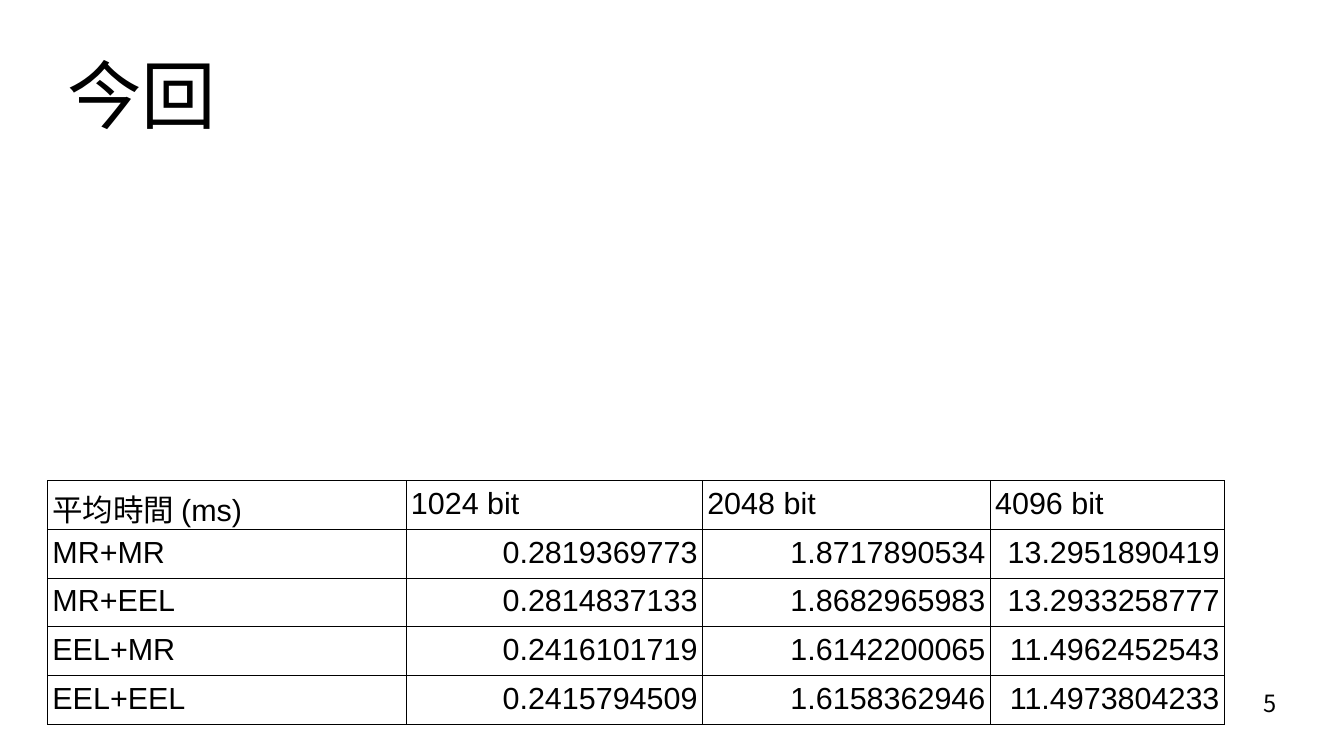
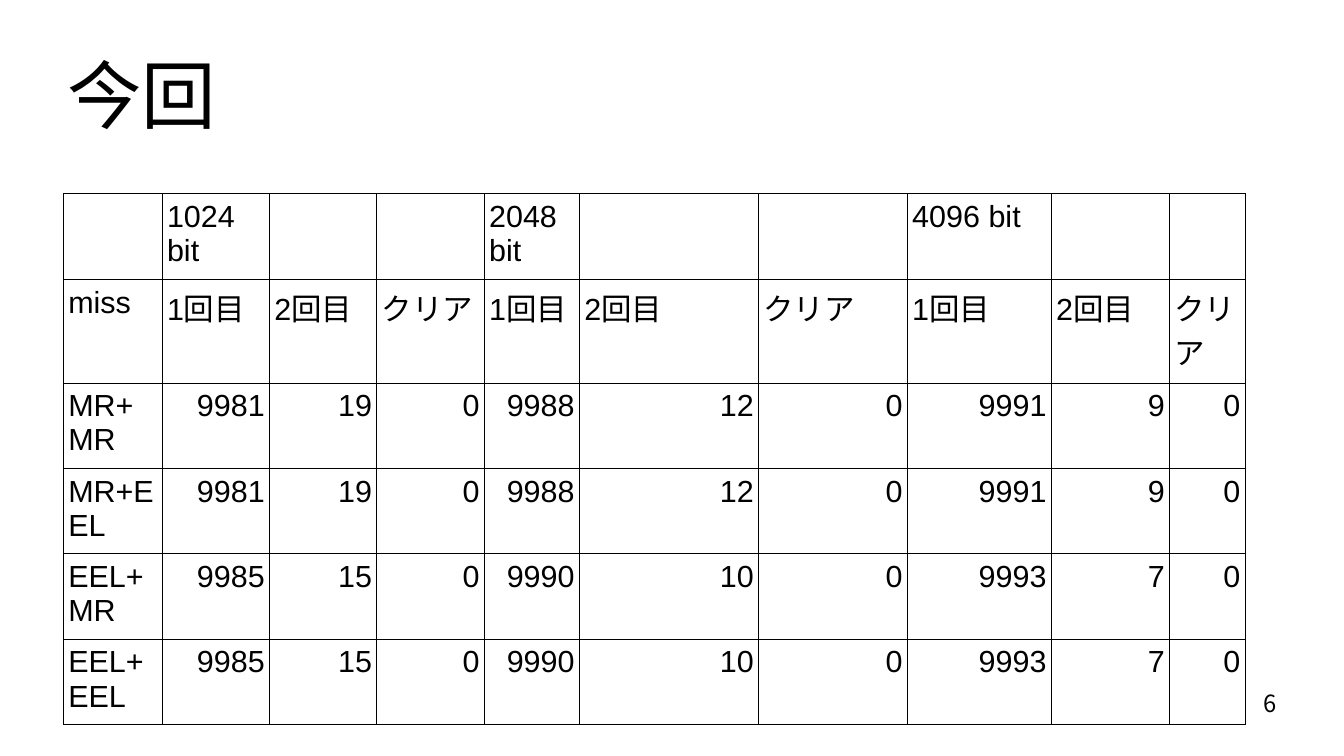
"""Build two slides that report prime search times and miss counts."""
from lxml.etree import SubElement as Sub
from pptx import Presentation
from pptx.dml.color import RGBColor
from pptx.enum.text import MSO_ANCHOR as Anchor, PP_ALIGN as Align
from pptx.oxml import parse_xml
from pptx.oxml.ns import nsdecls, qn
from pptx.util import Inches, Pt

INK = RGBColor(0x00, 0x00, 0x00)
CJK = "Noto Sans CJK JP"
PAD = {"margin_left": Inches(0.04), "margin_right": Inches(0.04),
       "margin_top": Inches(0.05), "margin_bottom": Inches(0.05)}
FLAT = {"margin_left": 0, "margin_right": 0, "margin_top": 0,
        "margin_bottom": 0, "word_wrap": True}
EDGE = ('<a:{} {} w="7200"><a:solidFill><a:srgbClr val="{}"/>'
        '</a:solidFill></a:{}>')

deck = Presentation()
deck.slide_width, deck.slide_height = Inches(11.02), Inches(6.2)
col, row = deck.slide_width / 100, deck.slide_height / 100


def write(frame, text, size, face="Arial", side=Align.LEFT):
    """Put one styled line of text in a frame."""
    para = frame.paragraphs[0]
    para.alignment = side
    run = para.add_run()
    run.text = text
    font = run.font
    for key, val in {"size": Pt(size), "name": face, "bold": False}.items():
        setattr(font, key, val)
    font.color.rgb = INK
    Sub(run._r.get_or_add_rPr(), qn("a:ea")).set("typeface", CJK)


def label(slide, spot, anchor, *style):
    """Add a text box at a spot given in grid columns and rows."""
    x, y, w, h = spot
    box = slide.shapes.add_textbox(
        int(x * col), int(y * row), int(w * col), int(h * row))
    frame = box.text_frame
    for key, val in {**FLAT, "vertical_anchor": anchor}.items():
        setattr(frame, key, val)
    write(frame, *style)


times = [
    ["平均時間 (ms)", "1024 bit", "2048 bit", "4096 bit"],
    ["MR+MR", "0.2819369773", "1.8717890534", "13.2951890419"],
    ["MR+EEL", "0.2814837133", "1.8682965983", "13.2933258777"],
    ["EEL+MR", "0.2416101719", "1.6142200065", "11.4962452543"],
    ["EEL+EEL", "0.2415794509", "1.6158362946", "11.4973804233"],
]
first = ["9981", "19", "0", "9988", "12", "0", "9991", "9", "0"]
last = ["9985", "15", "0", "9990", "10", "0", "9993", "7", "0"]
misses = [
    ["", "1024 bit", "", "", "2048 bit", "", "", "4096 bit", "", ""],
    ["miss"] + ["1回目", "2回目", "クリア"] * 3,
    ["MR+MR"] + first,
    ["MR+EEL"] + first,
    ["EEL+MR"] + last,
    ["EEL+EEL"] + last,
]
pages = [
    {"num": 5, "at": (3.54, 63.55), "data": times, "heads": 1,
     "cols": [26.68, 22.05, 21.42, 17.42],
     "rows": [5.81] + [6.29] * 4},
    {"num": 6, "at": (4.72, 25.65), "data": misses, "heads": 2,
     "cols": [7.35, 7.99, 7.99, 7.99, 7.08, 13.34, 11.07, 10.71, 8.8, 5.63],
     "rows": [10.97, 13.71] + [10.97] * 4},
]

for page in pages:
    slide = deck.slides.add_slide(deck.slide_layouts[6])
    label(slide, (5, 4, 90, 16.77), Anchor.MIDDLE, "今回", 44)

    cols, rows = page["cols"], page["rows"]
    x, y = page["at"]
    table = slide.shapes.add_table(
        len(rows), len(cols), int(x * col), int(y * row),
        int(sum(cols) * col), int(sum(rows) * row)).table
    table.first_row = table.horz_banding = False
    for part, wide in zip(table.columns, cols):
        part.width = int(wide * col)
    for part, high in zip(table.rows, rows):
        part.height = int(high * row)

    for r, line in enumerate(page["data"]):
        for c, text in enumerate(line):
            cell = table.cell(r, c)
            for key, val in PAD.items():
                setattr(cell, key, val)
            cell.fill.background()
            props = cell._tc.get_or_add_tcPr()
            for i, tag in enumerate(("lnL", "lnR", "lnT", "lnB")):
                props.insert(i, parse_xml(
                    EDGE.format(tag, nsdecls("a"), INK, tag)))
            if text:
                value = r >= page["heads"] and c > 0
                side = Align.RIGHT if value else Align.LEFT
                write(cell.text_frame, text, 18, "Arial", side)

    label(slide, (71.69, 91.13, 23.32, 6.94), Anchor.TOP,
          str(page["num"]), 14, CJK, Align.RIGHT)

deck.save("out.pptx")
